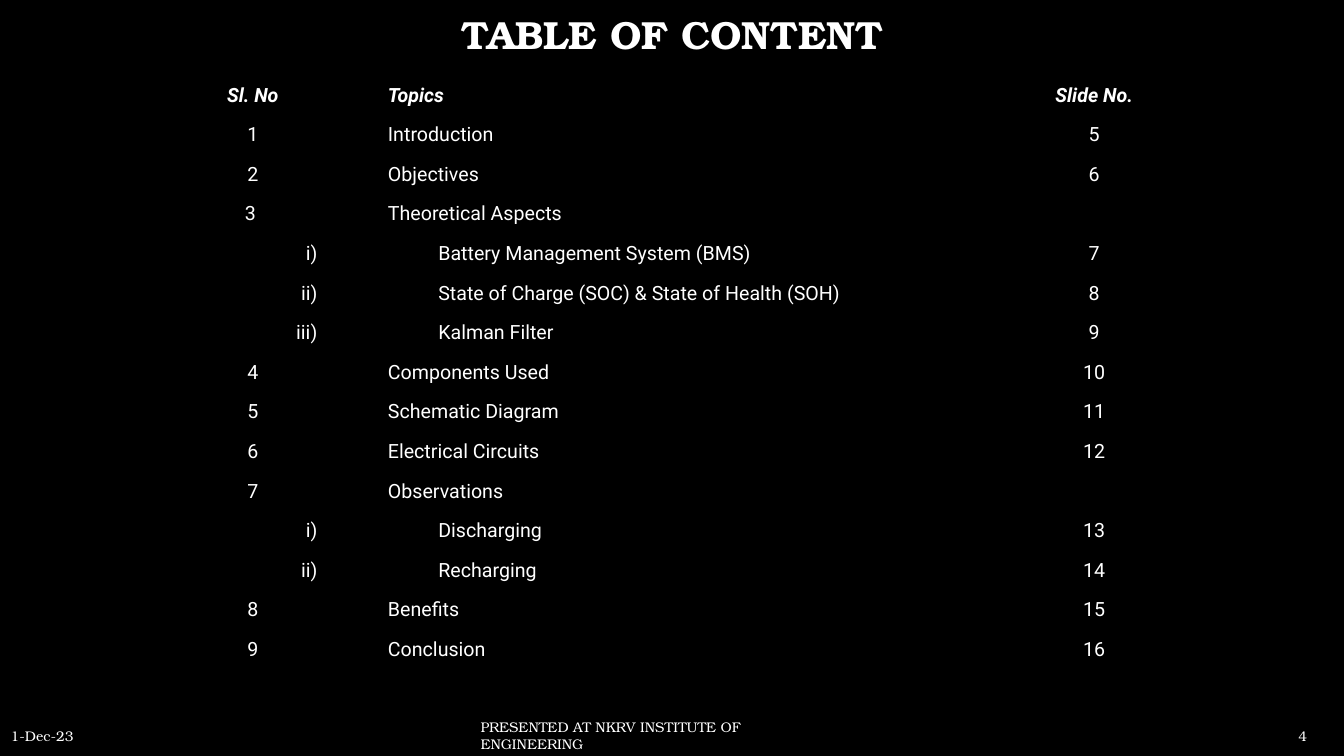
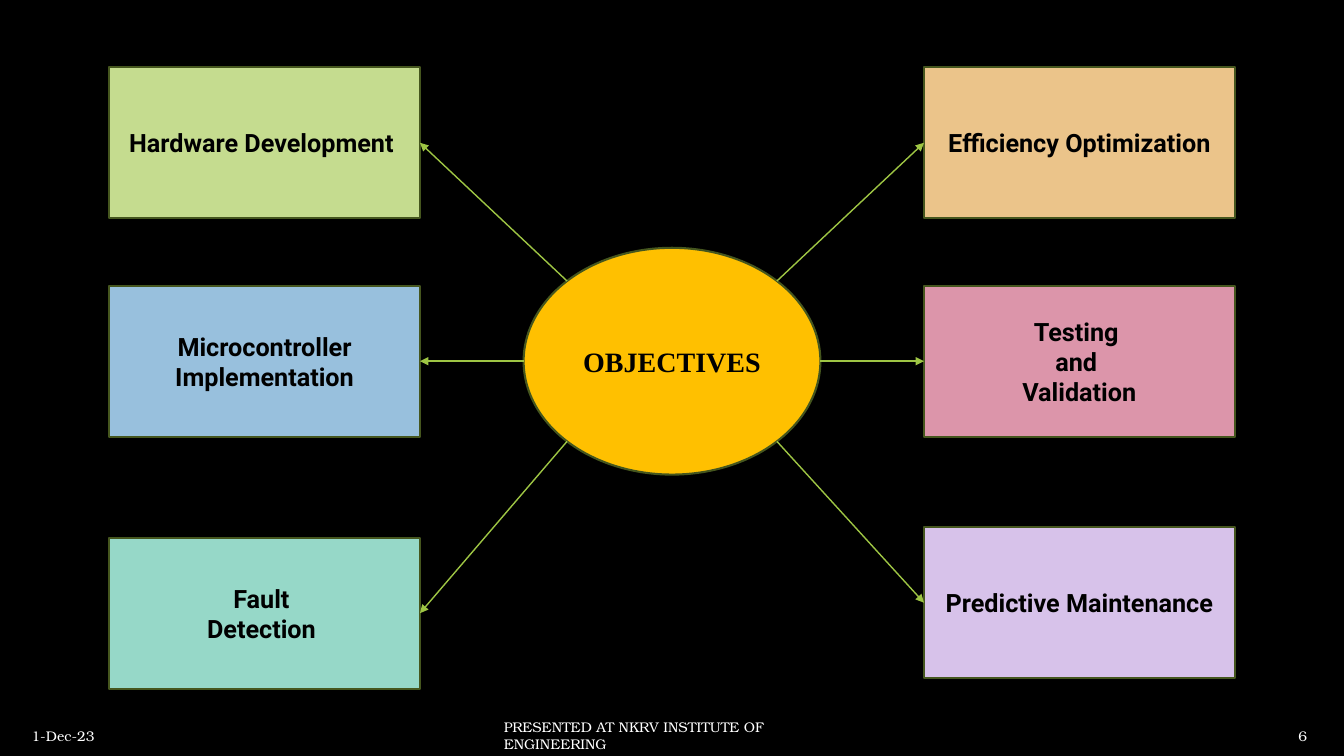
"""Build a contents slide and an objectives diagram on black."""
from math import cos, radians, sin

from lxml import etree
from pptx import Presentation
from pptx.dml.color import RGBColor
from pptx.enum.shapes import MSO_CONNECTOR, MSO_SHAPE
from pptx.enum.text import MSO_ANCHOR, PP_ALIGN
from pptx.oxml.ns import qn
from pptx.util import Pt

LEFT, CENTER, RIGHT = PP_ALIGN.LEFT, PP_ALIGN.CENTER, PP_ALIGN.RIGHT
MIDDLE = MSO_ANCHOR.MIDDLE
RECT, OVAL = MSO_SHAPE.RECTANGLE, MSO_SHAPE.OVAL
STRAIGHT = MSO_CONNECTOR.STRAIGHT
SERIF, SANS, TIMES = "TeX Gyre Bonum", "Roboto", "Times New Roman"
NO_GRID = "{2D5ABB26-0587-4C30-8999-92F81FD0307C}"
COLORS = {
    "black": "000000", "white": "FFFFFF", "gold": "FFC000",
    "outline": "45561E", "arrow": "9EC544",
    "green": "C5DC8F", "blue": "98C0DD", "teal": "96D8C8",
    "orange": "EBC48A", "pink": "DC95AA", "violet": "D7C2EA",
}
RGB = {name: RGBColor.from_string(code) for name, code in COLORS.items()}


def write(tf, text, font=SERIF, size=10, color="white", bold=False,
          italic=False, align=LEFT, spacing=None):
    for i, line in enumerate(text.split("\n")):
        p = tf.add_paragraph() if i else tf.paragraphs[0]
        p.alignment, p.line_spacing = align, spacing
        r = p.add_run()
        r.text = line
        r.font.name, r.font.size = font, Pt(size)
        r.font.bold, r.font.italic = bold, italic
        r.font.color.rgb = RGB[color]


def add_box(s, x, y, w, h, text, shape=None, fill=None, **fmt):
    place = Pt(x), Pt(y), Pt(w), Pt(h)
    if shape is None:
        sp = s.shapes.add_textbox(*place)
    else:
        sp = s.shapes.add_shape(shape, *place)
        sp.shadow.inherit = False
        sp.fill.solid()
        sp.fill.fore_color.rgb = RGB[fill]
        sp.line.color.rgb = RGB["outline"]
        sp.line.width = Pt(1.5)
    tf = sp.text_frame
    tf.word_wrap = True
    tf.vertical_anchor = MIDDLE
    write(tf, text, **fmt)
    return sp


prs = Presentation()
prs.slide_width, prs.slide_height = Pt(960), Pt(540)

FOOTERS = [
    ("4", 59.5, RIGHT, 336.2),
    ("6", 90, CENTER, 352.8),
]
slides = []
for number, date_w, date_align, venue_x in FOOTERS:
    s = prs.slides.add_slide(prs.slide_layouts[6])
    s.background.fill.solid()
    s.background.fill.fore_color.rgb = RGB["black"]
    add_box(s, 0, 511, date_w, 29, "1-Dec-23", align=date_align)
    add_box(s, venue_x, 511, 258, 29, "PRESENTED AT NKRV INSTITUTE OF ENGINEERING")
    add_box(s, 901, 511, 59, 29, number, align=CENTER)
    slides.append(s)
contents, objectives = slides

add_box(contents, 72.5, 0, 815, 52.5, "TABLE OF CONTENT", size=28, bold=True,
        align=CENTER, spacing=0.9)

ROWS = [
    ("Sl. No", "Topics", "Slide No."),
    ("1", "Introduction", "5"),
    ("2", "Objectives", "6"),
    ("3 ", "Theoretical Aspects", ""),
    ("i)", "Battery Management System (BMS)", "7"),
    ("ii)", "State of Charge (SOC) & State of Health (SOH)", "8"),
    ("iii)", "Kalman Filter", "9"),
    ("4", "Components Used", "10"),
    ("5", "Schematic Diagram", "11"),
    ("6", "Electrical Circuits", "12"),
    ("7", "Observations", ""),
    ("i)", "Discharging", "13"),
    ("ii)", "Recharging", "14"),
    ("8", "Benefits", "15"),
    ("9", "Conclusion", "16"),
]
COL_WIDTHS = [106.5, 497, 101.5]
ROW_H = 28.3
frame = contents.shapes.add_table(len(ROWS), len(COL_WIDTHS), Pt(127.4), Pt(54),
                                  Pt(sum(COL_WIDTHS)), Pt(ROW_H * len(ROWS)))
table = frame.table
table.first_row = table.horz_banding = False
for style in frame.element.iter(qn("a:tableStyleId")):
    style.text = NO_GRID
for col, width in zip(table.columns, COL_WIDTHS):
    col.width = Pt(width)
for i, row in enumerate(ROWS):
    table.rows[i].height = Pt(ROW_H)
    nested = row[0].endswith(")")
    aligns = RIGHT if nested else CENTER, LEFT, CENTER
    for j, (text, align) in enumerate(zip(row, aligns)):
        cell = table.cell(i, j)
        cell.fill.background()
        cell.vertical_anchor = MIDDLE
        cell.margin_top = cell.margin_bottom = 0
        if j == 1:
            cell.margin_left = Pt(79.2 if nested else 43.2)
        if text:
            write(cell.text_frame, text, font=SANS, size=14, bold=i == 0,
                  italic=i == 0, align=align)

HUB_X, HUB_Y, HUB_W, HUB_H = 480, 258, 212, 162
BOX_W, BOX_H = 222, 108
LEFT_X, RIGHT_X = 78, 660
LEFT_SITE, RIGHT_SITE = 1, 3
GOALS = [
    (LEFT_X, 48, "green", "Hardware Development ", 225),
    (LEFT_X, 204, "blue", "Microcontroller Implementation", 180),
    (LEFT_X, 384, "teal", "Fault \nDetection ", 135),
    (RIGHT_X, 48, "orange", "Efficiency Optimization", 315),
    (RIGHT_X, 204, "pink", "Testing \nand \nValidation", 0),
    (RIGHT_X, 376.5, "violet", "Predictive Maintenance", 45),
]
add_box(objectives, HUB_X - HUB_W / 2, HUB_Y - HUB_H / 2, HUB_W, HUB_H, "OBJECTIVES",
        shape=OVAL, fill="gold", font=TIMES, size=20, color="black", bold=True,
        align=CENTER)
for x, y, fill, text, angle in GOALS:
    sp = add_box(objectives, x, y, BOX_W, BOX_H, text, shape=RECT, fill=fill,
                 font=SANS, size=18, color="black", bold=True, align=CENTER)
    start_x = Pt(HUB_X + HUB_W / 2 * cos(radians(angle)))
    start_y = Pt(HUB_Y + HUB_H / 2 * sin(radians(angle)))
    arrow = objectives.shapes.add_connector(STRAIGHT, start_x, start_y, start_x, start_y)
    arrow.end_connect(sp, RIGHT_SITE if x == LEFT_X else LEFT_SITE)
    arrow.line.color.rgb = RGB["arrow"]
    arrow.line.width = Pt(1)
    etree.SubElement(arrow.line._get_or_add_ln(), qn("a:tailEnd"), type="triangle")
    etree.SubElement(arrow.element.spPr, qn("a:effectLst"))

prs.save("out.pptx")
